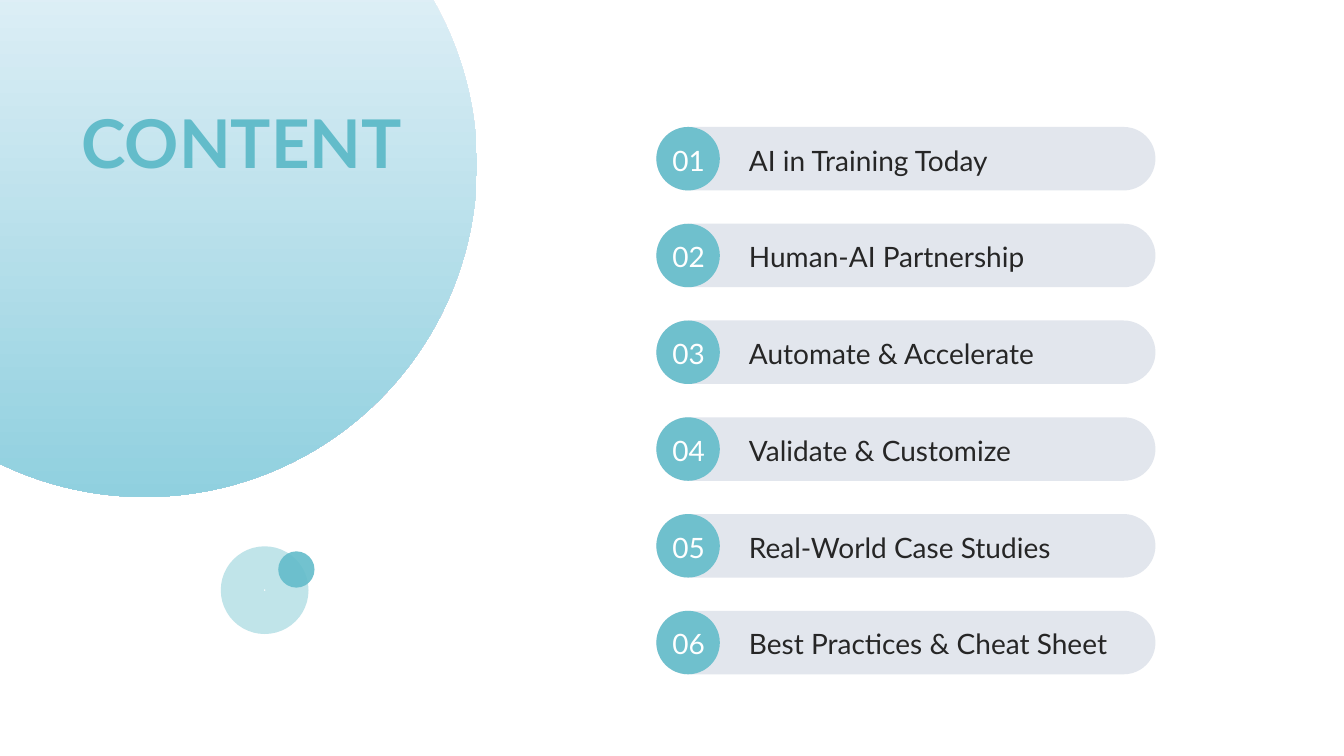
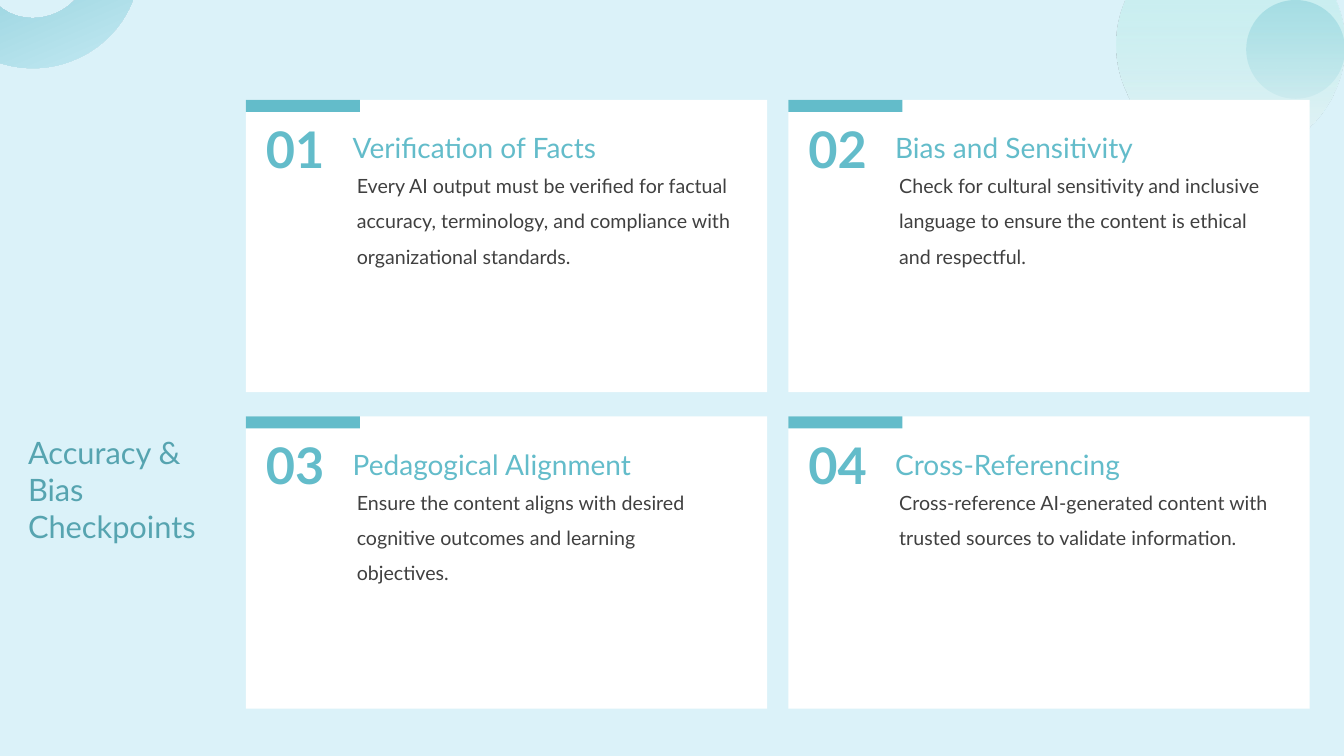
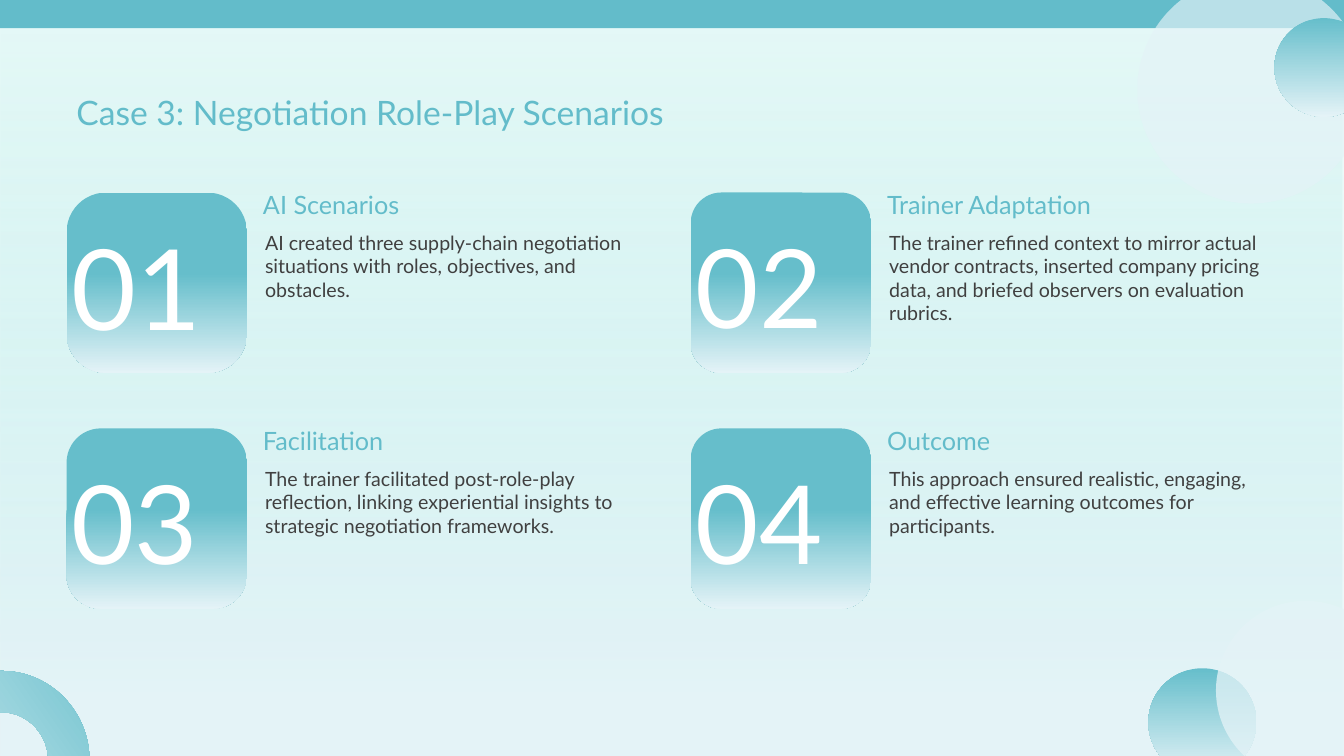
from lxml.etree import SubElement
from pptx import Presentation
from pptx.dml.color import RGBColor
from pptx.enum.shapes import MSO_SHAPE as Preset
from pptx.enum.text import MSO_ANCHOR as Anchor, MSO_AUTO_SIZE as AutoSize
from pptx.oxml.ns import qn
from pptx.util import Emu, Pt

PX = 9144  # 100 px to the inch
WIDTH, HEIGHT = 1333, 750
FONT = "Lato"

TEAL, SOFT_TEAL, DEEP_TEAL = "63BCCA", "66BECB", "56A4B0"
MIST, SKY, WHITE = "E4F3F7", "D2EFF8", "FFFFFF"
PILL, INK, BODY = "E2E6ED", "262626", "404040"

# Gradients run from top to bottom: (position %, colour, opacity %)
TEAL_FADE = [(0, SOFT_TEAL, 100), (100, MIST, 100)]
TILE_FADE = [(0, SOFT_TEAL, 100), (45, SOFT_TEAL, 100), (100, MIST, 100)]
MINT_FADE = [(0, "A8EAE4", 28), (92, MIST, 100), (100, MIST, 100)]
SKY_FADE = [(0, SKY, 100), (86, "72C3CF", 100), (100, "72C3CF", 100)]
GLOBE_FADE = [(0, "F6F8FD", 100), (100, "90D0DF", 100)]

AGENDA = [
    "AI in Training Today",
    "Human-AI Partnership",
    "Automate & Accelerate",
    "Validate & Customize",
    "Real-World Case Studies",
    "Best Practices & Cheat Sheet",
]

CHECKPOINTS = [
    ("Verification of Facts",
     "Every AI output must be verified for factual accuracy, terminology, "
     "and compliance with organizational standards."),
    ("Bias and Sensitivity",
     "Check for cultural sensitivity and inclusive language to ensure the "
     "content is ethical and respectful."),
    ("Pedagogical Alignment",
     "Ensure the content aligns with desired cognitive outcomes and "
     "learning objectives."),
    ("Cross-Referencing",
     "Cross-reference AI-generated content with trusted sources to "
     "validate information."),
]

# heading, body, number size, corner radius
CASE_STEPS = [
    ("AI Scenarios",
     "AI created three supply-chain negotiation situations with roles, "
     "objectives, and obstacles.", 80, 0.22),
    ("Trainer Adaptation",
     "The trainer refined context to mirror actual vendor contracts, "
     "inserted company pricing data, and briefed observers on evaluation "
     "rubrics.", 78, 0.17),
    ("Facilitation",
     "The trainer facilitated post-role-play reflection, linking "
     "experiential insights to strategic negotiation frameworks.", 78, 0.19),
    ("Outcome",
     "This approach ensured realistic, engaging, and effective learning "
     "outcomes for participants.", 78, 0.17),
]


def px(*lengths):
    return [Emu(length * PX) for length in lengths]


def rgb(color):
    return RGBColor.from_string(color)


def set_opacity(color_element, opacity):
    if opacity < 100:
        SubElement(color_element, qn("a:alpha"), val=str(opacity * 1000))


def add_shape(slide, preset, at, fill, opacity=100, adjust=(), rotation=0):
    """Fill is a hex colour, or a list of gradient stops."""
    shape = slide.shapes.add_shape(preset, *px(*at))
    shape.shadow.inherit = False
    shape.line.fill.background()
    shape.rotation = rotation
    for index, value in enumerate(adjust):
        shape.adjustments[index] = value
    properties = shape.element.spPr
    if isinstance(fill, str):
        shape.fill.solid()
        shape.fill.fore_color.rgb = rgb(fill)
        set_opacity(properties.find(".//" + qn("a:srgbClr")), opacity)
        return
    shape.fill.gradient()
    shape.fill.gradient_angle = 270
    stops = properties.find(".//" + qn("a:gsLst"))
    stops.clear()
    for position, color, stop_opacity in fill:
        stop = SubElement(stops, qn("a:gs"), pos=str(position * 1000))
        set_opacity(SubElement(stop, qn("a:srgbClr"), val=color), stop_opacity)


def add_text(slide, at, text, size, color, bold=False, spacing=None):
    box = slide.shapes.add_textbox(*px(*at))
    frame = box.text_frame
    frame.word_wrap = True
    para = frame.paragraphs[0]
    if spacing:
        para.line_spacing = spacing
    span = para.add_run()
    span.text = text
    span.font.name = FONT
    span.font.size = Pt(size)
    span.font.bold = bold
    span.font.color.rgb = rgb(color)
    return frame


def two_by_two(items, left, top, step_x, step_y):
    """Yield the number label, corner and item for each cell of the grid."""
    for index, item in enumerate(items):
        row, column = divmod(index, 2)
        yield f"{index + 1:02}", left + column * step_x, top + row * step_y, item


def build_agenda(slide):
    add_shape(slide, Preset.DONUT, (219, 542, 87, 87), TEAL, 40, [0.49])
    add_shape(slide, Preset.OVAL, (-186, -166, 659, 659), GLOBE_FADE)
    add_shape(slide, Preset.OVAL, (276, 547, 36, 36), TEAL, 90)
    add_text(slide, (71, 96, 480, 109), "CONTENT", 48, TEAL, bold=True)
    left, first_top, step, height = 651, 126, 96, 63
    for index, topic in enumerate(AGENDA):
        top = first_top + index * step
        add_shape(slide, Preset.ROUNDED_RECTANGLE, (left, top, 495, height),
                  PILL, adjust=[0.5])
        add_shape(slide, Preset.OVAL, (left, top, height, height), TEAL, 90)
        add_text(slide, (left + 6, top + 11, 56, 40), f"{index + 1:02}", 20, WHITE)
        add_text(slide, (left + 82, top + 11, 412, 64), topic, 20, INK)


def build_checkpoints(slide):
    add_shape(slide, Preset.RECTANGLE, (0, 0, WIDTH, HEIGHT), SKY, 78)
    add_shape(slide, Preset.OVAL, (1236, 0, 98, 98), "85CADB", 90)
    add_shape(slide, Preset.BLOCK_ARC, (-68, -132, 207, 199), SKY_FADE,
              adjust=[108, 0, 0.25], rotation=157)
    add_text(slide, (18, 425, 226, 131), "Accuracy & Bias Checkpoints", 22, DEEP_TEAL)
    add_shape(slide, Preset.OVAL, (1107, -69, 226, 226), MINT_FADE)
    for number, x, y, (heading, body) in two_by_two(CHECKPOINTS, 244, 99, 538, 314):
        add_shape(slide, Preset.RECTANGLE, (x, y, 517, 290), WHITE)
        add_shape(slide, Preset.RECTANGLE, (x, y, 113, 12), TEAL)
        add_text(slide, (x + 10, y + 13, 93, 65), number, 36, TEAL, bold=True)
        add_text(slide, (x + 96, y + 26, 410, 58), heading, 20, TEAL)
        add_text(slide, (x + 100, y + 57, 392, 221), body, 14, BODY, spacing=1.5)


def build_case(slide):
    add_shape(slide, Preset.RECTANGLE, (0, 0, WIDTH, HEIGHT), MINT_FADE)
    add_shape(slide, Preset.BLOCK_ARC, (-80, 668, 171, 164), TEAL_FADE,
              adjust=[108, 0, 0.25], rotation=55)
    title = add_text(slide, (66, 86, 1139, 40),
                     "Case 3: Negotiation Role-Play Scenarios", 24, TEAL)
    title.auto_size = AutoSize.SHAPE_TO_FIT_TEXT
    add_shape(slide, Preset.RECTANGLE, (0, 0, 1340, 28), TEAL)
    add_shape(slide, Preset.OVAL, (1128, -24, 226, 226), MIST, 67)
    add_shape(slide, Preset.OVAL, (1264, 18, 98, 98), TEAL_FADE)
    add_shape(slide, Preset.OVAL, (1139, 663, 107, 107), TEAL_FADE)
    add_shape(slide, Preset.OVAL, (1206, 596, 178, 178), MIST, 77)
    for number, x, y, step in two_by_two(CASE_STEPS, 66, 191, 619, 234):
        heading, body, size, radius = step
        tile = (x, y, 179, 179)
        add_shape(slide, Preset.ROUNDED_RECTANGLE, tile, TILE_FADE, adjust=[radius])
        label = add_text(slide, tile, number, size, WHITE)
        label.vertical_anchor = Anchor.MIDDLE
        label.margin_left, label.margin_top = px(5, 10)
        add_text(slide, (x + 185, y - 8, 392, 37), heading, 18, TEAL)
        add_text(slide, (x + 187, y + 33, 392, 185), body, 14, BODY)


def main():
    deck = Presentation()
    deck.slide_width, deck.slide_height = px(WIDTH, HEIGHT)
    blank = deck.slide_layouts[6]
    for build in (build_agenda, build_checkpoints, build_case):
        build(deck.slides.add_slide(blank))
    deck.save("out.pptx")


if __name__ == "__main__":
    main()
